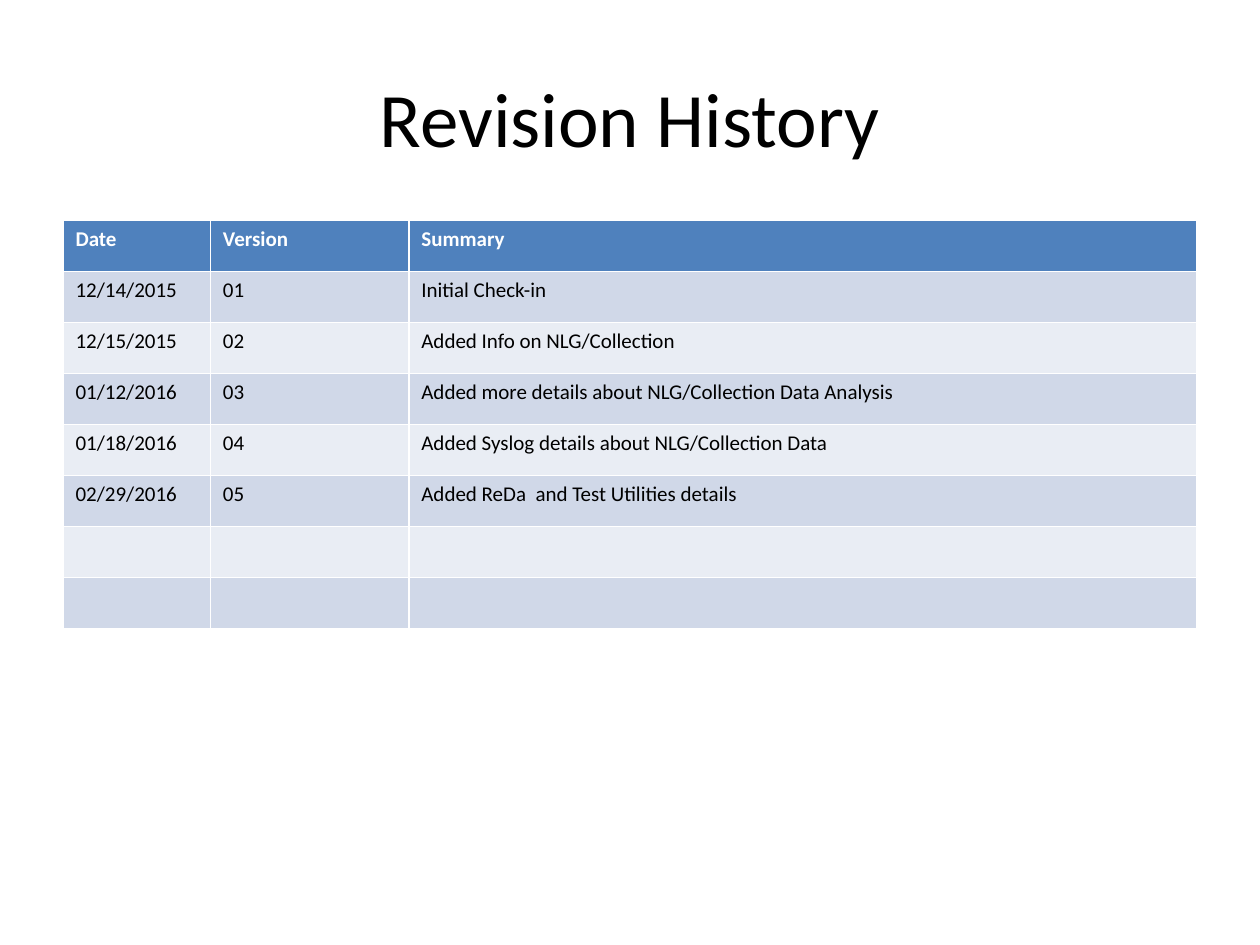
"""Build the revision history slide: a title above a banded table."""
from pptx import Presentation
from pptx.dml.color import RGBColor
from pptx.enum.text import MSO_ANCHOR, PP_ALIGN
from pptx.util import Inches, Pt

TITLE = "Revision History"
HEADER = ("Date", "Version", "Summary")
REVISIONS = [
    ("12/14/2015", "01", "Initial Check-in"),
    ("12/15/2015", "02", "Added Info on NLG/Collection"),
    ("01/12/2016", "03", "Added more details about NLG/Collection Data Analysis"),
    ("01/18/2016", "04", "Added Syslog details about NLG/Collection Data"),
    ("02/29/2016", "05", "Added ReDa  and Test Utilities details"),
]
EMPTY_ROWS = 2
WIDTH, HEIGHT, MARGIN = 10, 7.5, 0.5
COL_SHARES = (0.13, 0.175, 0.695)
TABLE_TOP, TABLE_HEIGHT = 1.75, 3.24
HEADER_FILL, BANDS = "4F81BD", ("D0D8E8", "E9EDF4")


def color(value):
    return RGBColor.from_string(value)


def write(tf, text, size=12, fill="000000", bold=False, align=PP_ALIGN.LEFT):
    p = tf.paragraphs[0]
    p.alignment = align
    r = p.add_run()
    r.text = text
    r.font.name, r.font.size, r.font.bold = "Calibri", Pt(size), bold
    r.font.color.rgb = color(fill)


def add_title(s):
    title = s.shapes.title
    title.left, title.top = Inches(MARGIN), Inches(0.3)
    title.width, title.height = Inches(WIDTH - 2 * MARGIN), Inches(1.25)
    title.text_frame.vertical_anchor = MSO_ANCHOR.MIDDLE
    write(title.text_frame, TITLE, size=44, align=PP_ALIGN.CENTER)


def add_history(s):
    rows = [HEADER, *REVISIONS] + [("",) * len(HEADER)] * EMPTY_ROWS
    width = WIDTH - 2 * MARGIN
    table = s.shapes.add_table(
        len(rows), len(HEADER), Inches(MARGIN), Inches(TABLE_TOP),
        Inches(width), Inches(TABLE_HEIGHT)).table
    for col, share in zip(table.columns, COL_SHARES):
        col.width = Inches(width * share)
    for i, row in enumerate(rows):
        head = i == 0
        for j, text in enumerate(row):
            cell = table.cell(i, j)
            cell.fill.solid()
            cell.fill.fore_color.rgb = color(HEADER_FILL if head else BANDS[(i - 1) % 2])
            if text:
                write(cell.text_frame, text, bold=head,
                      fill="FFFFFF" if head else "000000")


def main():
    prs = Presentation()
    prs.slide_width, prs.slide_height = Inches(WIDTH), Inches(HEIGHT)
    s = prs.slides.add_slide(prs.slide_layouts[5])
    add_title(s)
    add_history(s)
    prs.save("out.pptx")


if __name__ == "__main__":
    main()
